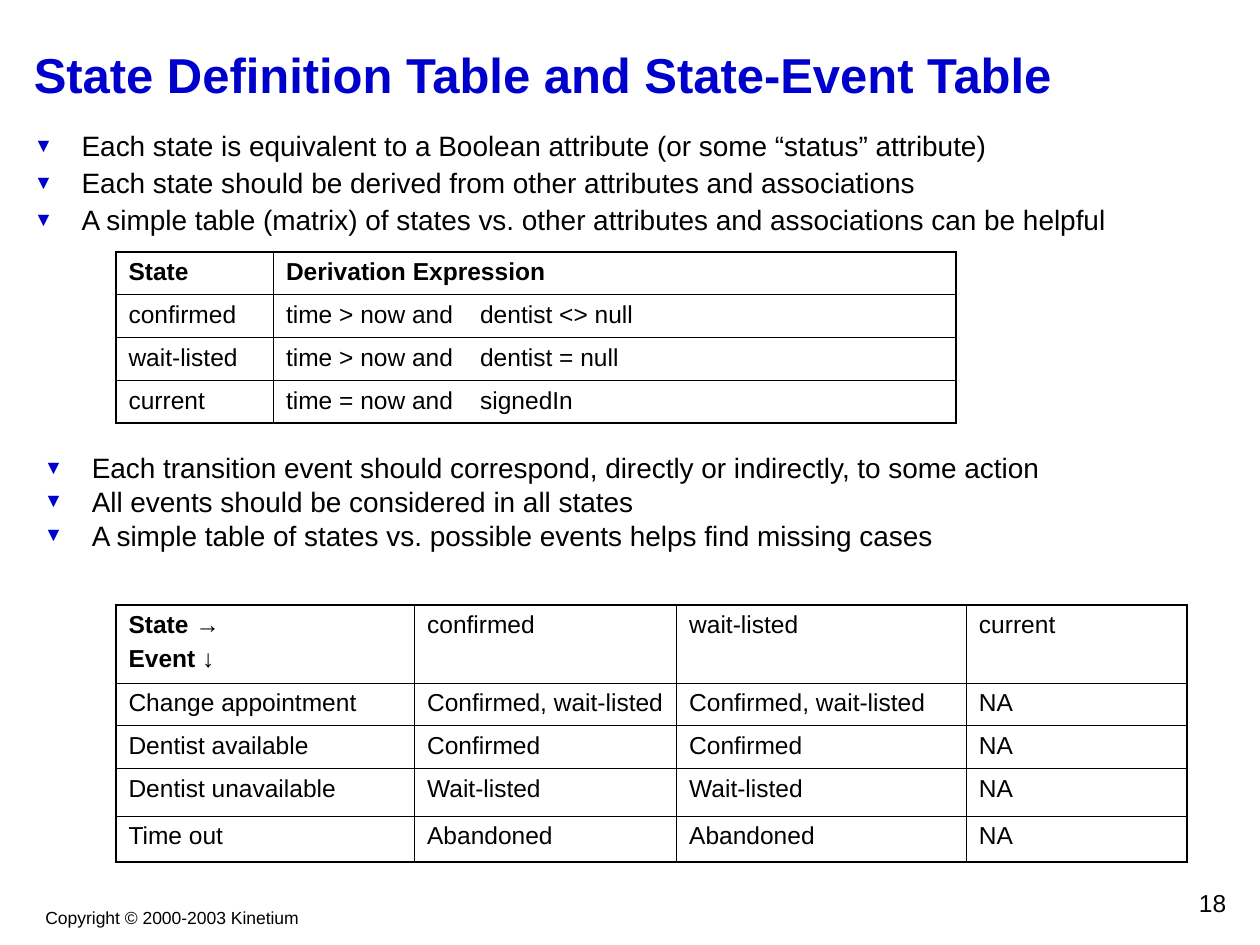
from dataclasses import dataclass

from lxml.etree import SubElement
from pptx import Presentation
from pptx.dml.color import RGBColor
from pptx.enum.text import MSO_ANCHOR, PP_ALIGN
from pptx.oxml.ns import qn
from pptx.util import Inches, Pt


@dataclass(frozen=True)
class Theme:
    font: str = "Arial"
    ink: str = "000000"
    accent: str = "0000CC"
    title_size: float = 28
    bullet_size: float = 16
    table_size: float = 14
    number_size: float = 14
    footer_size: float = 10
    outer_border: float = 1.08
    inner_border: float = 0.45


class SlideBuilder:
    def __init__(self, slide, theme):
        self.slide = slide
        self.theme = theme

    def style_runs(self, paragraph, size, color=None, bold=False):
        for run in paragraph.runs:
            run.font.name = self.theme.font
            run.font.size = Pt(size)
            run.font.bold = bold
            run.font.color.rgb = RGBColor.from_string(color or self.theme.ink)

    def text(self, wording, box, size, color=None, bold=False,
             align=PP_ALIGN.LEFT, anchor=MSO_ANCHOR.TOP, wrap=True):
        frame = self.slide.shapes.add_textbox(*map(Inches, box)).text_frame
        frame.word_wrap = wrap
        frame.vertical_anchor = anchor
        frame.text = wording
        for paragraph in frame.paragraphs:
            paragraph.alignment = align
            self.style_runs(paragraph, size, color, bold)
        return frame

    def bullets(self, points, box, line_spacing):
        frame = self.text("\n".join(points), box, self.theme.bullet_size)
        for index, paragraph in enumerate(frame.paragraphs):
            self.add_marker(paragraph)
            paragraph.line_spacing = line_spacing
            paragraph.space_before = Pt(4 if index else 0)

    def add_marker(self, paragraph):
        """Give the paragraph a hanging accent-coloured triangle."""
        props = paragraph._p.get_or_add_pPr()
        props.set("marL", str(Inches(0.38)))
        props.set("indent", str(-Inches(0.38)))
        SubElement(SubElement(props, qn("a:buClr")), qn("a:srgbClr"), val=self.theme.accent)
        SubElement(props, qn("a:buSzPct"), val="70000")
        SubElement(props, qn("a:buFont"), typeface=self.theme.font)
        SubElement(props, qn("a:buChar"), char="▼")

    def table(self, rows, left, top, widths, heights, is_header, tab_stop=None):
        """Draw a ruled table; is_header(row, column) picks the bold cells."""
        grid = self.slide.shapes.add_table(
            len(rows), len(widths), Inches(left), Inches(top),
            Inches(sum(widths)), Inches(sum(heights))).table
        grid.first_row = grid.horz_banding = False
        for column, width in zip(grid.columns, widths):
            column.width = Inches(width)
        for row, height in zip(grid.rows, heights):
            row.height = Inches(height)
        last_row, last_column = len(rows) - 1, len(widths) - 1
        for r, entries in enumerate(rows):
            for c, entry in enumerate(entries):
                cell = grid.cell(r, c)
                cell.text_frame.text = entry
                for index, paragraph in enumerate(cell.text_frame.paragraphs):
                    if "\t" in entry:
                        self.add_tab(paragraph, tab_stop)
                    paragraph.space_before = Pt(3.5 if index else 0)
                    self.style_runs(paragraph, self.theme.table_size, bold=is_header(r, c))
                self.add_borders(cell, {"L": c == 0, "R": c == last_column,
                                        "T": r == 0, "B": r == last_row})
                cell.fill.background()

    def add_tab(self, paragraph, position):
        stops = SubElement(paragraph._p.get_or_add_pPr(), qn("a:tabLst"))
        SubElement(stops, qn("a:tab"), pos=str(Inches(position)), algn="l")

    def add_borders(self, cell, outer_sides):
        props = cell._tc.get_or_add_tcPr()
        for side, is_outer in outer_sides.items():
            width = self.theme.outer_border if is_outer else self.theme.inner_border
            border = SubElement(props, qn(f"a:ln{side}"), w=str(Pt(width)))
            fill = SubElement(border, qn("a:solidFill"))
            SubElement(fill, qn("a:srgbClr"), val=self.theme.ink)


def main():
    presentation = Presentation()
    presentation.slide_width, presentation.slide_height = Inches(10), Inches(7.5)
    theme = Theme()
    builder = SlideBuilder(
        presentation.slides.add_slide(presentation.slide_layouts[6]), theme)

    builder.text("Copyright © 2000-2003 Kinetium", (0.26, 7.15, 2.21, 0.27),
                 theme.footer_size, align=PP_ALIGN.CENTER, wrap=False)
    builder.text("State Definition Table and State-Event Table",
                 (0.17, 0.17, 9.67, 0.83), theme.title_size, theme.accent,
                 bold=True, anchor=MSO_ANCHOR.MIDDLE)

    builder.bullets([
        "Each state is equivalent to a Boolean attribute (or some “status” attribute)",
        "Each state should be derived from other attributes and associations",
        "A simple table (matrix) of states vs. other attributes and associations can be helpful",
    ], (0.17, 1, 9.17, 1), line_spacing=0.9)
    builder.bullets([
        "Each transition event should correspond, directly or indirectly, to some action",
        "All events should be considered in all states",
        "A simple table of states vs. possible events helps find missing cases",
    ], (0.25, 3.58, 9.58, 0.92), line_spacing=0.8)

    state_definitions = [
        ("State", "Derivation Expression"),
        ("confirmed", "time > now and\tdentist <> null"),
        ("wait-listed", "time > now and\tdentist = null"),
        ("current", "time = now and\tsignedIn"),
    ]
    builder.table(state_definitions, 0.92, 2, [1.25, 5.42], [0.34] * 4,
                  is_header=lambda row, column: row == 0, tab_stop=1.54)

    state_events = [
        ("State →\nEvent ↓", "confirmed", "wait-listed", "current"),
        ("Change appointment", "Confirmed, wait-listed", "Confirmed, wait-listed", "NA"),
        ("Dentist available", "Confirmed", "Confirmed", "NA"),
        ("Dentist unavailable", "Wait-listed", "Wait-listed", "NA"),
        ("Time out", "Abandoned", "Abandoned", "NA"),
    ]
    builder.table(state_events, 0.92, 4.8, [2.37, 2.08, 2.3, 1.75],
                  [0.62, 0.34, 0.34, 0.38, 0.36],
                  is_header=lambda row, column: row == column == 0)

    builder.text("18", (7.75, 7, 2.08, 0.33), theme.number_size, align=PP_ALIGN.RIGHT)
    presentation.save("out.pptx")


if __name__ == "__main__":
    main()
